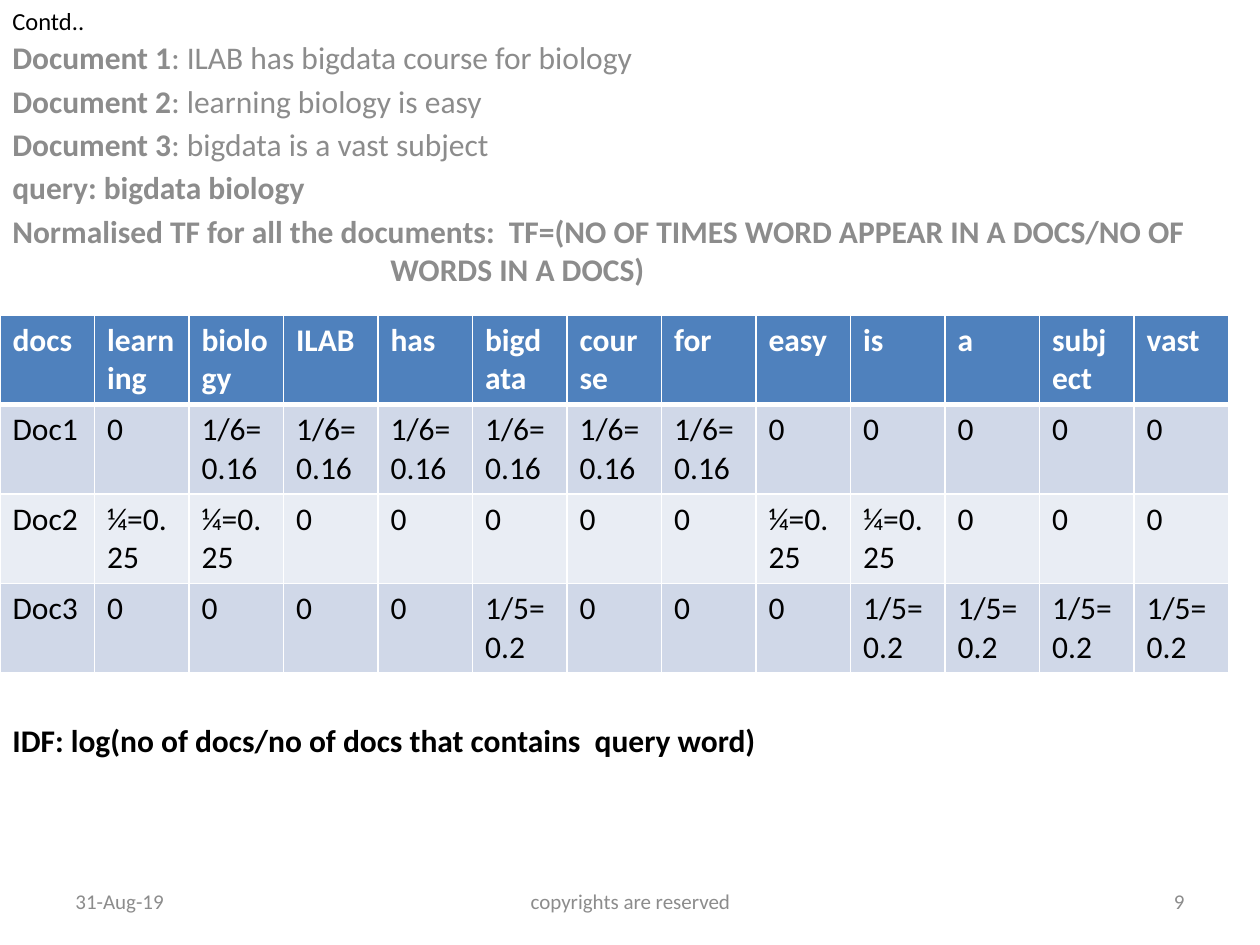
from dataclasses import dataclass

from lxml import etree
from pptx import Presentation
from pptx.dml.color import RGBColor
from pptx.enum.text import MSO_ANCHOR, PP_ALIGN
from pptx.oxml.ns import qn
from pptx.util import Emu, Pt

LEFT, CENTER, RIGHT = PP_ALIGN.LEFT, PP_ALIGN.CENTER, PP_ALIGN.RIGHT
TOP, MIDDLE = MSO_ANCHOR.TOP, MSO_ANCHOR.MIDDLE


@dataclass(frozen=True)
class Theme:
    font: str = "Calibri"
    body: int = 18
    title: int = 14
    footer: int = 12
    gap: float = 3.2
    black: str = "000000"
    white: str = "FFFFFF"
    gray: str = "8C8C8C"
    header: str = "4F81BD"
    bands: tuple = ("D0D8E8", "E9EDF4")


T = Theme()

# Content: each paragraph is a list of (text, bold) runs
TITLE = [[("Contd..", False)]]
INTRO = [
    [("Document 1", True), (": ILAB has bigdata course for biology", False)],
    [("Document 2", True), (": learning biology is easy", False)],
    [("Document 3", True), (": bigdata is a vast subject", False)],
    [("query:\u00a0bigdata biology", True)],
    [("Normalised TF for all the documents:  "
      "TF=(NO OF TIMES WORD APPEAR IN A DOCS/NO OF", True),
     ("\n", True), ("\tWORDS IN A DOCS)", True)],
]
IDF = [[("IDF: log(no of docs/no of docs that contains  query word)", True)]]
WORDS = ["learning", "biology", "ILAB", "has", "bigdata", "course", "for",
         "easy", "is", "a", "subject", "vast"]
# Document, term frequency, words it holds
DOCS = [
    ("Doc1", "1/6=0.16", {"biology", "ILAB", "has", "bigdata", "course", "for"}),
    ("Doc2", "¼=0.25", {"learning", "biology", "easy", "is"}),
    ("Doc3", "1/5=0.2", {"bigdata", "is", "a", "subject", "vast"}),
]
# Text, left, width, alignment
FOOTER = [
    ("31-Aug-19", 63, 294, LEFT),
    ("copyrights are reserved", 431, 399, CENTER),
    ("9", 903, 294, RIGHT),
]

# Layout in px
SLIDE_W, SLIDE_H = 1260, 945
TABLE_TOP, COL_W, ROW_H = 315, 94.5, 89.5
FOOTER_TOP, FOOTER_H = 876, 50
TAB_STOP = 378


def px(n):
    return Emu(round(n * 914400 / 126))


def add_run(p, text, size, color, bold):
    r = p.add_run()
    r.text = text
    f = r.font
    f.name, f.size, f.bold = T.font, Pt(size), bold
    f.color.rgb = RGBColor.from_string(color)


def add_text(s, box, paragraphs, size, color, align=LEFT, anchor=TOP,
             gap=0, wrap=True):
    tf = s.shapes.add_textbox(*map(px, box)).text_frame
    tf.word_wrap, tf.vertical_anchor = wrap, anchor
    for i, runs in enumerate(paragraphs):
        p = tf.add_paragraph() if i else tf.paragraphs[0]
        p.alignment, p.space_before = align, Pt(gap)
        for text, bold in runs:
            if text == "\n":
                p.add_line_break()
            else:
                add_run(p, text, size, color, bold)
    return tf


def add_tab_stop(p, pos):
    tabs = etree.SubElement(p._p.get_or_add_pPr(), qn("a:tabLst"))
    etree.SubElement(tabs, qn("a:tab"), pos=str(px(pos)), algn="l")


def set_borders(cell, **widths):
    tc_pr = cell._tc.get_or_add_tcPr()
    for side in "LRTB":
        ln = etree.SubElement(tc_pr, qn(f"a:ln{side}"),
                              w=str(Pt(widths.get(side, 1))))
        fill = etree.SubElement(ln, qn("a:solidFill"))
        etree.SubElement(fill, qn("a:srgbClr"), val=T.white)


def add_tf_table(s):
    rows = [["docs", *WORDS]]
    for name, tf, held in DOCS:
        rows.append([name] + [tf if w in held else "0" for w in WORDS])
    n_rows, n_cols = len(rows), len(rows[0])
    table = s.shapes.add_table(n_rows, n_cols, 0, px(TABLE_TOP),
                               px(COL_W * n_cols), px(ROW_H * n_rows)).table
    table.horz_banding = False
    for col in table.columns:
        col.width = px(COL_W)
    for i, values in enumerate(rows):
        table.rows[i].height = px(ROW_H)
        head = i == 0
        fill = T.header if head else T.bands[(i - 1) % 2]
        edges = {0: {"B": 3}, 1: {"T": 3}}.get(i, {})
        for j, value in enumerate(values):
            cell = table.cell(i, j)
            set_borders(cell, **edges)
            cell.fill.solid()
            cell.fill.fore_color.rgb = RGBColor.from_string(fill)
            add_run(cell.text_frame.paragraphs[0], value, T.body,
                    T.white if head else T.black, head)


def main():
    prs = Presentation()
    prs.slide_width, prs.slide_height = px(SLIDE_W), px(SLIDE_H)
    s = prs.slides.add_slide(prs.slide_layouts[6])

    # Title and documents
    add_text(s, (0, 0, 1071, 42), TITLE, T.title, T.black, anchor=MIDDLE)
    intro = add_text(s, (0, 32, SLIDE_W, 913), INTRO, T.body, T.gray, gap=T.gap)
    add_tab_stop(intro.paragraphs[-1], TAB_STOP)

    # Footer
    for text, left, width, align in FOOTER:
        add_text(s, (left, FOOTER_TOP, width, FOOTER_H), [[(text, False)]],
                 T.footer, T.gray, align, MIDDLE)

    # Term frequencies and IDF formula
    add_tf_table(s)
    add_text(s, (0, 715, 775, 50), IDF, T.body, T.black, wrap=False)

    prs.save("out.pptx")


if __name__ == "__main__":
    main()
